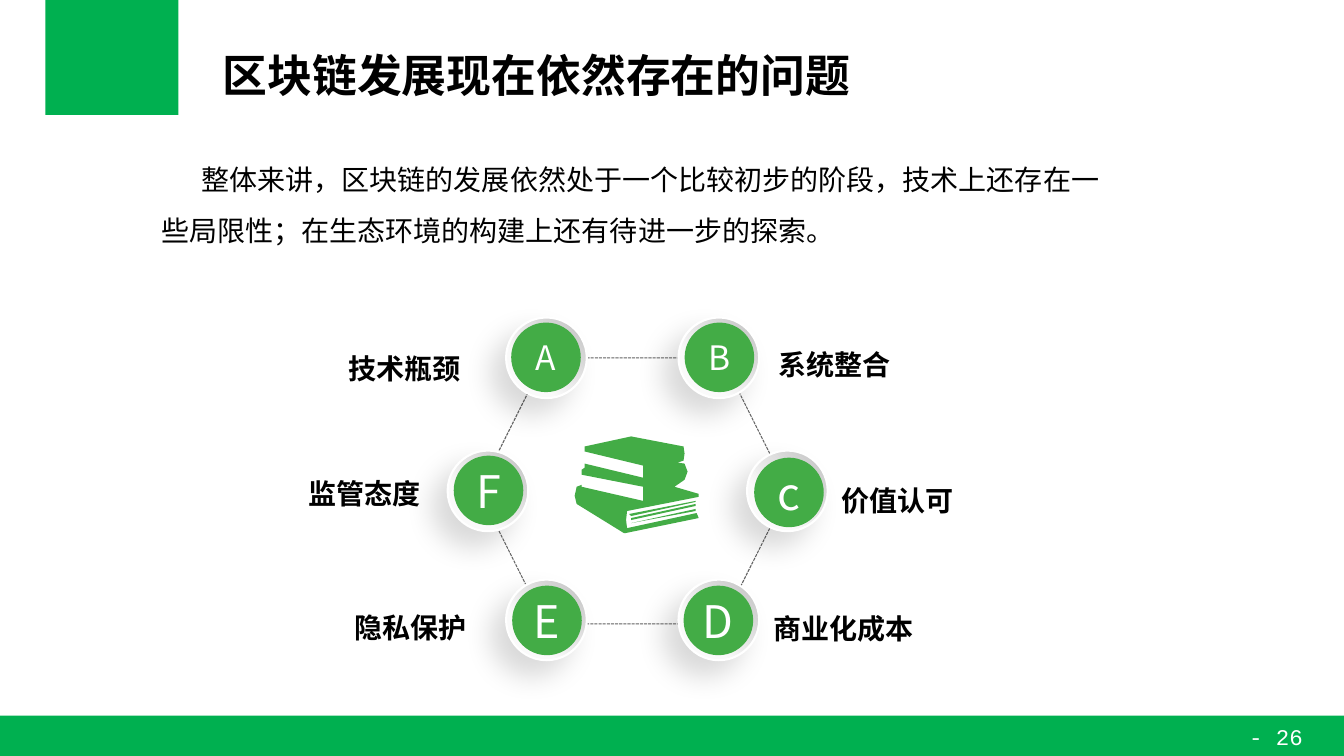
import pptx
import pptx.util
import pptx.dml.color
import pptx.enum.dml
import pptx.enum.shapes
import pptx.enum.text
import pptx.oxml
import pptx.oxml.ns

Inches, Pt = pptx.util.Inches, pptx.util.Pt
SHAPE = pptx.enum.shapes.MSO_SHAPE
ALIGN = pptx.enum.text.PP_ALIGN
ANCHOR = pptx.enum.text.MSO_ANCHOR
NS = 'xmlns:a="http://schemas.openxmlformats.org/drawingml/2006/main"'

CJK = "Noto Sans CJK SC"
BRAND, LEAF, WHITE, BLACK, GREY = "00B050", "43AC46", "FFFFFF", "000000", "626262"

TITLE = "区块链发展现在依然存在的问题"
BODY = ("整体来讲，区块链的发展依然处于一个比较初步的阶段，技术上还存在一些局限性；"
        "在生态环境的构建上还有待进一步的探索。")
PAGE = "- 26"

RING, DISC = 0.8, 0.69
# letter, letter size, ring corner, disc corner, label, label corner
NODES = [
    ("A", 24, (5.02, 3.15), (5.07, 3.2), "技术瓶颈", (3.36, 3.37)),
    ("B", 24, (6.73, 3.15), (6.79, 3.2), "系统整合", (7.62, 3.33)),
    ("c", 32, (7.41, 4.47), (7.48, 4.54), "价值认可", (8.25, 4.68)),
    ("D", 32, (6.73, 5.75), (6.78, 5.81), "商业化成本", (7.57, 5.95)),
    ("E", 32, (5.02, 5.75), (5.08, 5.81), "隐私保护", (3.42, 5.94)),
    ("F", 32, (4.44, 4.47), (4.5, 4.52), "监管态度", (2.96, 4.61)),
]

BOOKS = [
    [(693, 493), (622, 507), (621, 516), (622, 524), (691, 509), (693, 514), (620, 529),
     (619, 529), (572, 500), (570, 492), (572, 483), (577, 481), (577, 483), (638, 497),
     (638, 483), (577, 471), (577, 466), (580, 464), (580, 460), (638, 474), (638, 462),
     (580, 448), (580, 443), (626, 433), (678, 443), (679, 450), (678, 457), (672, 459),
     (679, 460), (682, 468), (679, 476), (669, 483), (693, 490)],
    [(626, 519), (690, 507), (690, 505)],
    [(626, 514), (626, 516), (690, 502), (690, 500)],
    [(624, 510), (626, 512), (690, 498), (690, 497)],
]

RING_FILL = f"""<a:gradFill {NS} rotWithShape="1"><a:gsLst>
<a:gs pos="0"><a:srgbClr val="FFFFFF"/></a:gs>
<a:gs pos="0"><a:srgbClr val="BFBFBF"/></a:gs>
<a:gs pos="70000"><a:srgbClr val="FAFAFA"/></a:gs>
</a:gsLst><a:lin ang="8100000" scaled="0"/></a:gradFill>"""
RING_SHADOW = f"""<a:effectLst {NS}>
<a:outerShdw blurRad="{Pt(20)}" dist="{Pt(15)}" dir="8100000" algn="tr" rotWithShape="0">
<a:srgbClr val="000000"><a:alpha val="15000"/></a:srgbClr></a:outerShdw></a:effectLst>"""


def rgb(value):
    return pptx.dml.color.RGBColor.from_string(value)


def paint(sp, fill=None, line=None, width=0.75):
    sp.shadow.inherit = False
    if fill:
        sp.fill.solid()
        sp.fill.fore_color.rgb = rgb(fill)
    else:
        sp.fill.background()
    if line:
        sp.line.color.rgb = rgb(line)
        sp.line.width = Pt(width)
    else:
        sp.line.fill.background()
    return sp


def add_shape(s, kind, x, y, w, h, **look):
    sp = s.shapes.add_shape(kind, Inches(x), Inches(y), Inches(w), Inches(h))
    return paint(sp, **look)


def write(sp, text, size=20, font=CJK, color=BLACK, bold=False, align=ALIGN.LEFT,
          anchor=ANCHOR.TOP, spacing=1.0, indent=0, wrap=True):
    tf = sp.text_frame
    tf.word_wrap = wrap
    tf.vertical_anchor = anchor
    p = tf.paragraphs[0]
    p.alignment = align
    p.line_spacing = spacing
    if indent:
        pPr = p._p.get_or_add_pPr()
        pPr.set("marL", "0")
        pPr.set("indent", str(Inches(indent)))
    r = p.add_run()
    r.text = text
    r.font.size = Pt(size)
    r.font.name = font
    r.font.bold = bold
    r.font.color.rgb = rgb(color)
    r._r.get_or_add_rPr().find(pptx.oxml.ns.qn("a:latin")).addnext(
        pptx.oxml.parse_xml(f'<a:ea {NS} typeface="{CJK}"/>'))


def add_text(s, x, y, w, h, text, **style):
    write(s.shapes.add_textbox(Inches(x), Inches(y), Inches(w), Inches(h)), text, **style)


def add_ring(s, x, y):
    sp = add_shape(s, SHAPE.OVAL, x, y, RING, RING, fill=WHITE, line=WHITE, width=1.5)
    spPr = sp._element.spPr
    for tag, xml in (("a:solidFill", RING_FILL), ("a:effectLst", RING_SHADOW)):
        spPr.replace(spPr.find(pptx.oxml.ns.qn(tag)), pptx.oxml.parse_xml(xml))


def add_books(s):
    first, *bands = BOOKS
    fb = s.shapes.build_freeform(*first[0], scale=Inches(0.01))
    fb.add_line_segments(first[1:], close=True)
    for band in bands:
        fb.move_to(*band[0])
        fb.add_line_segments(band[1:], close=True)
    paint(fb.convert_to_shape(), fill=LEAF)


def main():
    prs = pptx.Presentation()
    prs.slide_width, prs.slide_height = Inches(13.33), Inches(7.5)
    s = prs.slides.add_slide(prs.slide_layouts[6])

    add_shape(s, SHAPE.RECTANGLE, 0.45, 0, 1.32, 1.14, fill=BRAND)
    add_shape(s, SHAPE.RECTANGLE, 0, 7.1, 13.33, 0.4, fill=BRAND)
    add_text(s, 12.18, 7.12, 0.95, 0.37, PAGE, size=16, font="Courier New",
             color=WHITE, align=ALIGN.CENTER)
    add_text(s, 2.11, 0.38, 10.49, 0.78, TITLE, size=32, font="Arial", bold=True,
             anchor=ANCHOR.MIDDLE, spacing=0.9)

    hexagon = add_shape(s, SHAPE.HEXAGON, 4.75, 3.55, 3.07, 2.64, line=GREY)
    hexagon.line.dash_style = pptx.enum.dml.MSO_LINE.SQUARE_DOT
    for letter, size, ring, disc, label, corner in NODES:
        add_ring(s, *ring)
    for letter, size, ring, disc, label, corner in NODES:
        add_text(s, *corner, 1.9, 0.47, label, bold=True, spacing=1.2)
        sp = add_shape(s, SHAPE.OVAL, *disc, DISC, DISC, fill=LEAF)
        write(sp, letter, size=size, color=WHITE, align=ALIGN.CENTER,
              anchor=ANCHOR.MIDDLE, wrap=False)
    add_books(s)

    add_text(s, 1.5, 1.4, 9.56, 1.06, BODY, font="Calibri", spacing=1.5, indent=0.4)
    prs.save("out.pptx")


if __name__ == "__main__":
    main()
